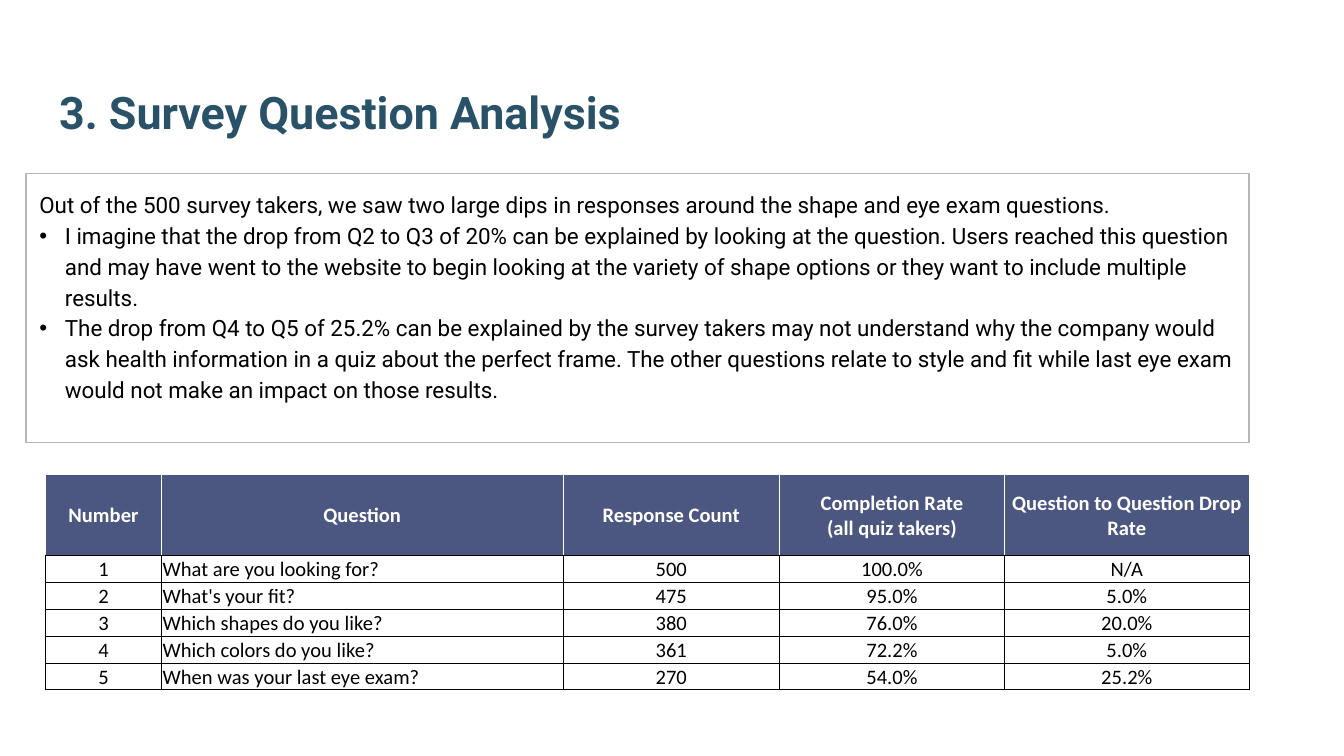
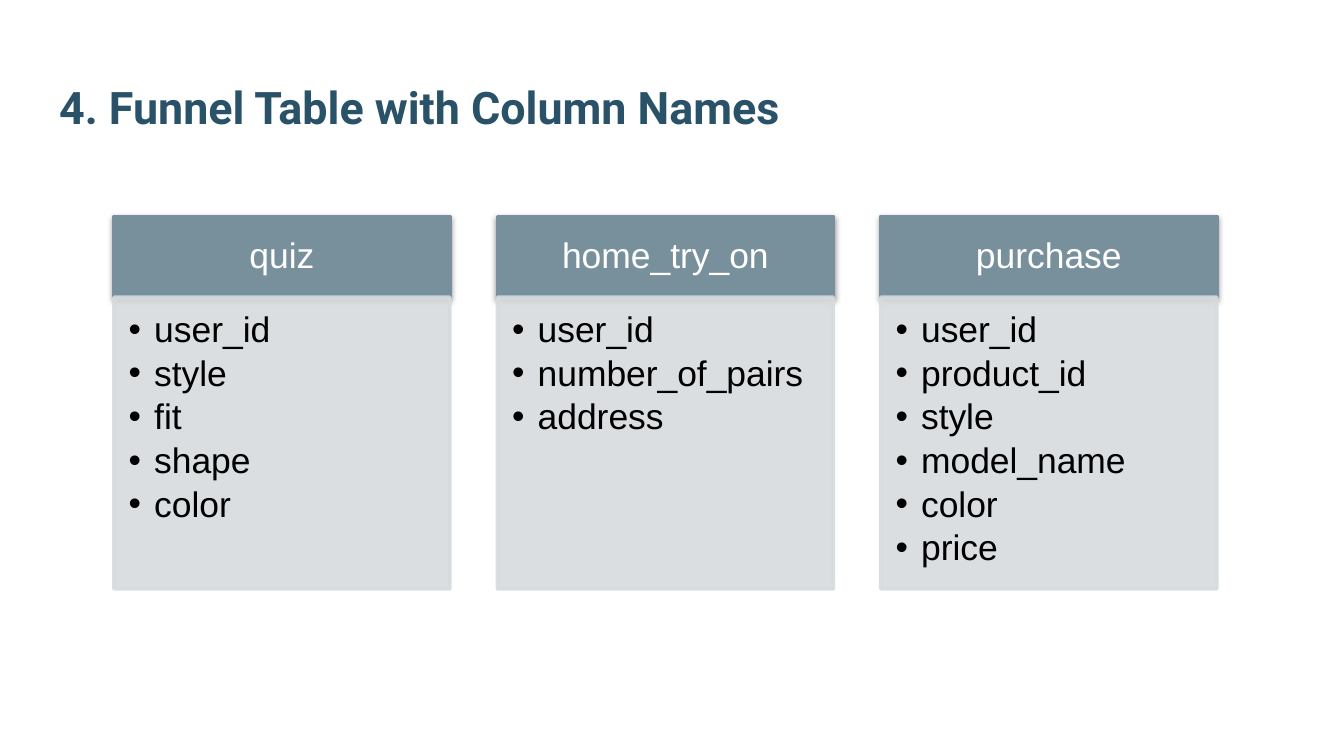
from lxml import etree
from pptx import Presentation
from pptx.dml.color import RGBColor
from pptx.enum.shapes import MSO_SHAPE
from pptx.enum.text import MSO_ANCHOR, MSO_AUTO_SIZE, PP_ALIGN
from pptx.oxml.ns import qn
from pptx.util import Inches, Pt

RECT = MSO_SHAPE.RECTANGLE
TOP, MIDDLE, BOTTOM = MSO_ANCHOR.TOP, MSO_ANCHOR.MIDDLE, MSO_ANCHOR.BOTTOM
LEFT, CENTER = PP_ALIGN.LEFT, PP_ALIGN.CENTER
NO_FIT = MSO_AUTO_SIZE.NONE

TITLE_BLUE = RGBColor(0x29, 0x52, 0x69)
BLACK = RGBColor(0, 0, 0)
WHITE = RGBColor(0xFF, 0xFF, 0xFF)
BORDER_GRAY = RGBColor(0xB7, 0xB7, 0xB7)
HEADER_BLUE = RGBColor(0x4B, 0x57, 0x81)
CARD_SLATE = RGBColor(0x78, 0x90, 0x9C)
CARD_GRAY = RGBColor(0xD6, 0xDB, 0xDE)

SLIDE_W = Inches(10)
SLIDE_H = SLIDE_W * 9 // 16
LAYOUT_CONTENT, LAYOUT_TITLE_ONLY = 1, 5
PADDING = (0.1, 0.1, 0.1, 0.1)
CELL_PADDING = (0.01, 0.01, 0.01, 0)
INDENT = Inches(0.19)

TITLE_FONT = {"name": "Roboto", "size": Pt(24), "bold": True, "color": TITLE_BLUE}
BODY_FONT = {"name": "Roboto", "size": Pt(12), "color": BLACK}
HEAD_FONT = {"name": "Calibri", "size": Pt(11), "bold": True, "color": WHITE}
CELL_FONT = {**HEAD_FONT, "bold": False, "color": BLACK}
CARD_HEAD_FONT = {"name": "Arial", "size": Pt(19), "color": WHITE}
CARD_LIST_FONT = {**CARD_HEAD_FONT, "color": BLACK}

ANALYSIS = [
    "Out of the 500 survey takers, we saw two large dips in responses around "
    "the shape and eye exam questions.",
    "I imagine that the drop from Q2 to Q3 of 20% can be explained by looking at "
    "the question. Users reached this question and may have went to the website "
    "to begin looking at the variety of shape options or they want to include "
    "multiple results.",
    "The drop from Q4 to Q5 of 25.2% can be explained by the survey takers may "
    "not understand why the company would ask health information in a quiz about "
    "the perfect frame. The other questions relate to style and fit while last "
    "eye exam would not make an impact on those results.",
]
SURVEY = [
    ("Number", "Question", "Response Count", "Completion Rate\n(all quiz takers)",
     "Question to Question Drop Rate"),
    ("1", "What are you looking for?", "500", "100.0%", "N/A"),
    ("2", "What's your fit?", "475", "95.0%", "5.0%"),
    ("3", "Which shapes do you like?", "380", "76.0%", "20.0%"),
    ("4", "Which colors do you like?", "361", "72.2%", "5.0%"),
    ("5", "When was your last eye exam?", "270", "54.0%", "25.2%"),
]
COLUMN_SHARES = (8.6, 29.9, 16.1, 16.75, 18.2)
HEAD_ROW, BODY_ROW = 10.67, 3.56
FUNNEL = {
    "quiz": ["user_id", "style", "fit", "shape", "color"],
    "home_try_on": ["user_id", "number_of_pairs", "address"],
    "purchase": ["user_id", "product_id", "style", "model_name", "color", "price"],
}
CARD_LEFT, CARD_PITCH, CARD_W = 8.48, 28.53, 25
CARD_TOP, CARD_HEAD_H, CARD_LIST_H = 28.66, 10.67, 38.58


def wide(share):
    """Return a percentage of the slide width."""
    return round(SLIDE_W * share / 100)


def high(share):
    """Return a percentage of the slide height."""
    return round(SLIDE_H * share / 100)


def area(x, y, w, h):
    """Return a box given in percentages of the slide."""
    return wide(x), high(y), wide(w), high(h)


def move(sp, box):
    """Put a shape at a box."""
    for name, value in zip(("left", "top", "width", "height"), box):
        setattr(sp, name, value)


def child(parent, tag, **attrs):
    """Append a drawing element with attributes."""
    return etree.SubElement(parent, qn(tag), {k: str(v) for k, v in attrs.items()})


def pad(item, padding):
    """Set the left, top, right and bottom margins in inches."""
    for side, value in zip(("left", "top", "right", "bottom"), padding):
        setattr(item, f"margin_{side}", Inches(value))


def set_bullet(p, bulleted):
    """Give a paragraph a black hanging bullet, or none."""
    ppr = p._p.get_or_add_pPr()
    ppr.set("marL", str(INDENT if bulleted else 0))
    ppr.set("indent", str(-INDENT if bulleted else 0))
    if bulleted:
        child(child(ppr, "a:buClr"), "a:srgbClr", val=BLACK)
        child(ppr, "a:buFont", typeface="Arial")
        child(ppr, "a:buChar", char="•")
    else:
        child(ppr, "a:buNone")


def write(tf, lines, font, align=LEFT, spacing=1.0, after=0, bullets_from=None):
    """Write paragraphs, bulleted from a given index on."""
    layout = {"alignment": align, "line_spacing": spacing,
              "space_before": Pt(0), "space_after": Pt(after)}
    for i, line in enumerate(lines):
        p = tf.paragraphs[0] if i == 0 else tf.add_paragraph()
        set_bullet(p, bullets_from is not None and i >= bullets_from)
        for name, value in layout.items():
            setattr(p, name, value)
        r = p.add_run()
        r.text = line
        for name, value in font.items():
            if name == "color":
                r.font.color.rgb = value
            else:
                setattr(r.font, name, value)


def frame(sp, anchor, padding):
    """Prepare and return the text frame of a shape."""
    tf = sp.text_frame
    for name, value in {"word_wrap": True, "auto_size": NO_FIT,
                        "vertical_anchor": anchor}.items():
        setattr(tf, name, value)
    pad(tf, padding)
    return tf


def add_slide(prs, layout, title, top):
    """Add a slide with a formatted title."""
    s = prs.slides.add_slide(prs.slide_layouts[layout])
    sp = s.shapes.title
    move(sp, area(3.4, top, 93.2, 16.36))
    write(frame(sp, BOTTOM, PADDING), [title], TITLE_FONT)
    return s


def add_analysis(s):
    """Fill the outlined body placeholder."""
    sp = s.placeholders[1]
    move(sp, area(1.93, 22.95, 91, 35.56))
    sp.line.color.rgb = BORDER_GRAY
    sp.line.width = Pt(0.75)
    write(frame(sp, TOP, PADDING), ANALYSIS, BODY_FONT, spacing=1.15, bullets_from=1)


def set_borders(cell, color, bottom):
    """Draw thin cell borders."""
    tcpr = cell._tc.get_or_add_tcPr()
    for tag in ("a:lnL", "a:lnR", "a:lnT", "a:lnB"):
        ln = child(tcpr, tag, w=Pt(0.5))
        rgb = bottom if tag == "a:lnB" else color
        child(child(ln, "a:solidFill"), "a:srgbClr", val=rgb)


def format_cell(cell, text, is_head, column):
    """Write and style one table cell."""
    set_borders(cell, WHITE if is_head else BLACK, BLACK)
    if is_head:
        cell.fill.solid()
        cell.fill.fore_color.rgb = HEADER_BLUE
    else:
        cell.fill.background()
    cell.vertical_anchor = MIDDLE if is_head or column > 1 else BOTTOM
    pad(cell, CELL_PADDING)
    write(cell.text_frame, text.split("\n"), HEAD_FONT if is_head else CELL_FONT,
          LEFT if column == 1 and not is_head else CENTER)


def add_survey_table(s):
    """Add the table of survey questions."""
    heights = [HEAD_ROW] + [BODY_ROW] * (len(SURVEY) - 1)
    box = area(3.4, 62.8, sum(COLUMN_SHARES), sum(heights))
    table = s.shapes.add_table(len(SURVEY), len(COLUMN_SHARES), *box).table
    table.first_row = table.horz_banding = False
    for column, share in zip(table.columns, COLUMN_SHARES):
        column.width = wide(share)
    for i, (height, values) in enumerate(zip(heights, SURVEY)):
        table.rows[i].height = high(height)
        for j, text in enumerate(values):
            format_cell(table.cell(i, j), text, i == 0, j)


def add_panel(s, box, color):
    """Add a rectangle with fill and line of one colour."""
    sp = s.shapes.add_shape(RECT, *box)
    sp.shadow.inherit = False
    sp.fill.solid()
    sp.fill.fore_color.rgb = color
    sp.line.color.rgb = color
    sp.line.width = Pt(2)
    return sp


def add_shadow(sp):
    """Cast a soft shadow downwards."""
    effects = sp._element.spPr.find(qn("a:effectLst"))
    shadow = child(effects, "a:outerShdw", blurRad=Pt(3.1), dist=Pt(1.6),
                   dir=90 * 60000, algn="t", rotWithShape=0)
    child(child(shadow, "a:srgbClr", val=BLACK), "a:alpha", val=38000)


def add_card(s, left, name, fields):
    """Add a table name above the list of its columns."""
    head = add_panel(s, area(left, CARD_TOP, CARD_W, CARD_HEAD_H), CARD_SLATE)
    add_shadow(head)
    write(frame(head, MIDDLE, (0.15, 0.08, 0.15, 0.08)), [name], CARD_HEAD_FONT,
          CENTER, 0.9)
    body = add_panel(s, area(left, CARD_TOP + CARD_HEAD_H, CARD_W, CARD_LIST_H),
                     CARD_GRAY)
    for color in body._element.spPr.iter(qn("a:srgbClr")):
        child(color, "a:alpha", val=90000)
    write(frame(body, TOP, (0.11, 0.11, 0.15, 0.17)), fields, CARD_LIST_FONT,
          spacing=0.9, after=2.85, bullets_from=0)


def main():
    """Build and save the presentation."""
    prs = Presentation()
    prs.slide_width, prs.slide_height = SLIDE_W, SLIDE_H
    s = add_slide(prs, LAYOUT_CONTENT, "3. Survey Question Analysis", 3.73)
    add_analysis(s)
    add_survey_table(s)
    s = add_slide(prs, LAYOUT_TITLE_ONLY, "4. Funnel Table with Column Names", 3.02)
    for i, (name, fields) in enumerate(FUNNEL.items()):
        add_card(s, CARD_LEFT + i * CARD_PITCH, name, fields)
    prs.save("out.pptx")


if __name__ == "__main__":
    main()
